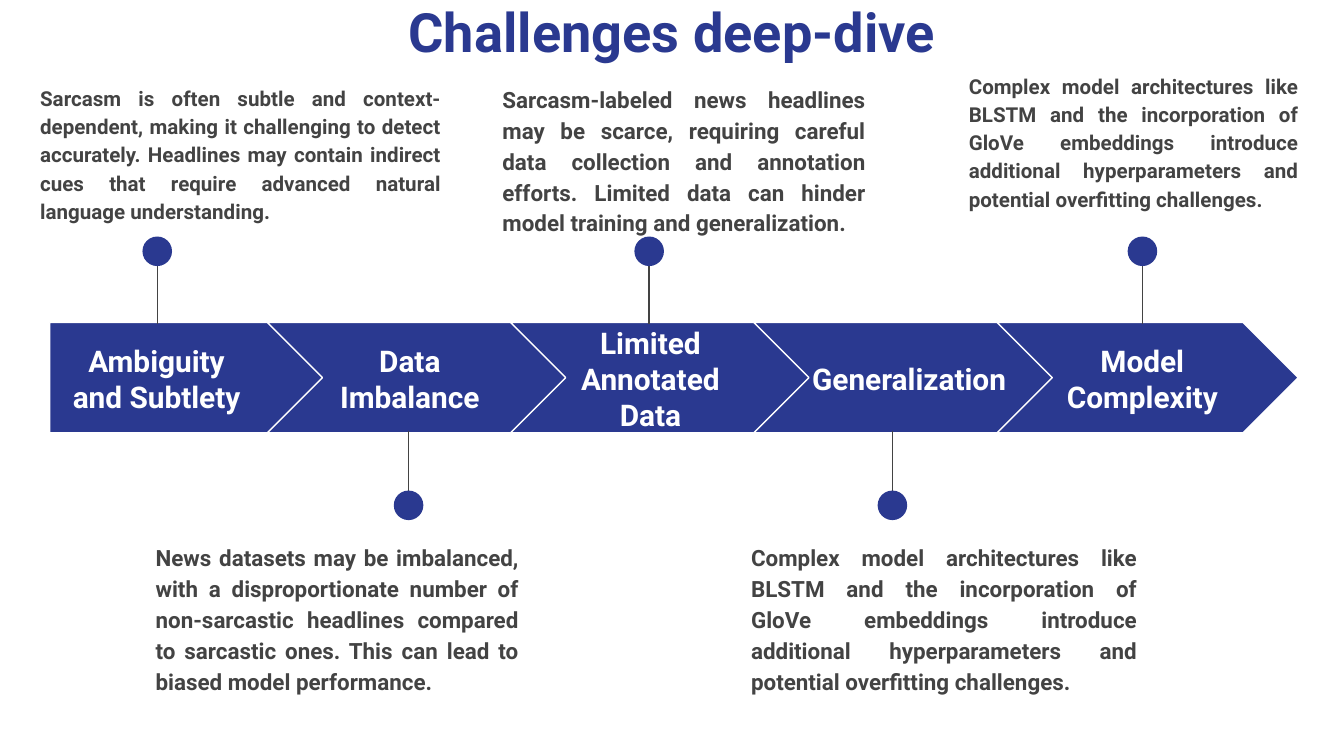
from lxml import etree
from pptx import Presentation
from pptx import util as u
from pptx.dml.color import RGBColor
from pptx.enum import shapes, text
from pptx.oxml.ns import qn

NAVY = RGBColor(0x2A, 0x39, 0x90)
GREY = RGBColor(0x43, 0x43, 0x43)
WHITE = RGBColor(0xFF, 0xFF, 0xFF)
FONT = "Roboto"

# Widescreen slide, 16 by 9
SLIDE_WIDTH = 10
SLIDE_HEIGHT = SLIDE_WIDTH * 9 / 16

# Arrow band and pins
BAND_TOP, BAND_HEIGHT = 2.4, 0.82
FIRST_LEFT, FIRST_WIDTH = 0.37, 2.05
CHEVRON_LEFT, CHEVRON_WIDTH, CHEVRON_STEP = 1.99, 2.24, 1.81
LABEL_TOP, LABEL_HEIGHT = 2.56, 0.51
DOT = 0.22
UPPER_DOT, LOWER_DOT = 1.76, 3.65
OVERLAP = 0.01

OVERFITTING = ("Complex model architectures like BLSTM and the incorporation of GloVe "
               "embeddings introduce additional hyperparameters and potential "
               "overfitting challenges.")

# Label, label left and width, pin centre, note box, note size, note text
STAGES = [
    ("Ambiguity and Subtlety", 0.37, 1.59, 1.17, (0.2, 0.51, 3.18, 1.29), 11,
     "Sarcasm is often subtle and context-dependent, making it challenging to detect "
     "accurately. Headlines may contain indirect cues that require advanced natural "
     "language understanding."),
    ("Data Imbalance", 2.33, 1.44, 3.04, (1.06, 3.92, 2.9, 1.62), 12,
     "News datasets may be imbalanced, with a disproportionate number of non-sarcastic "
     "headlines compared to sarcastic ones. This can lead to biased model performance."),
    ("Limited Annotated Data", 4.12, 1.44, 4.83, (3.64, 0.51, 2.9, 1.45), 12,
     "Sarcasm-labeled news headlines may be scarce, requiring careful data collection "
     "and annotation efforts. Limited data can hinder model training and generalization."),
    ("Generalization", 5.93, 1.67, 6.64, (5.49, 3.92, 3.07, 1.29), 12, OVERFITTING),
    ("Model Complexity", 7.78, 1.44, 8.5, (7.11, 0.42, 2.65, 1.45), 11, OVERFITTING),
]


def inches(*lengths):
    return [u.Inches(length) for length in lengths]


def write(shape, content, size, color, align, anchor=text.MSO_ANCHOR.TOP, spacing=1.0):
    """Fill a shape with one bold paragraph."""
    frame = shape.text_frame
    frame.word_wrap = True
    frame.auto_size = text.MSO_AUTO_SIZE.NONE
    frame.vertical_anchor = anchor
    frame.margin_left = frame.margin_right = u.Inches(0.1)
    frame.margin_top = frame.margin_bottom = u.Inches(0.1)
    paragraph = frame.paragraphs[0]
    paragraph.alignment = align
    paragraph.line_spacing = spacing
    run = paragraph.add_run()
    run.text = content
    run.font.name = FONT
    run.font.size = u.Pt(size)
    run.font.bold = True
    run.font.color.rgb = color


def add_text(slide, box, content, **style):
    write(slide.shapes.add_textbox(*inches(*box)), content, **style)


def add_solid(slide, kind, box, outline=None):
    shape = slide.shapes.add_shape(kind, *inches(*box))
    shape.shadow.inherit = False
    shape.fill.solid()
    shape.fill.fore_color.rgb = NAVY
    if outline is None:
        shape.line.fill.background()
    else:
        shape.line.color.rgb = outline
        shape.line.width = u.Pt(0.75)
    return shape


def add_arrow(slide, index):
    if index == 0:
        kind, left, width = shapes.MSO_SHAPE.PENTAGON, FIRST_LEFT, FIRST_WIDTH
    else:
        kind, width = shapes.MSO_SHAPE.CHEVRON, CHEVRON_WIDTH
        left = CHEVRON_LEFT + (index - 1) * CHEVRON_STEP
    arrow = add_solid(slide, kind, (left, BAND_TOP, width, BAND_HEIGHT), outline=WHITE)
    arrow.adjustments[0] = 0.5


def add_pin(slide, center, above):
    """Join a dot to the nearer edge of the arrow band."""
    if above:
        dot_top, start, end = UPPER_DOT, UPPER_DOT, BAND_TOP + OVERLAP
    else:
        dot_top, start = LOWER_DOT, LOWER_DOT + DOT
        end = BAND_TOP + BAND_HEIGHT - OVERLAP
    stem = slide.shapes.add_connector(
        shapes.MSO_CONNECTOR.STRAIGHT, *inches(center, start, center, end))
    stem.line.color.rgb = GREY
    stem.line.width = u.Pt(0.75)
    etree.SubElement(stem._element.spPr, qn("a:effectLst"))
    add_solid(slide, shapes.MSO_SHAPE.OVAL, (center - DOT / 2, dot_top, DOT, DOT))


def add_title(slide, content):
    title = slide.shapes.title
    title.left, title.top, title.width, title.height = inches(2.94, -0.11, 4.59, 0.69)
    write(title, content, size=29, color=NAVY, align=text.PP_ALIGN.LEFT)


def main():
    presentation = Presentation()
    presentation.slide_width, presentation.slide_height = inches(SLIDE_WIDTH, SLIDE_HEIGHT)
    slide = presentation.slides.add_slide(presentation.slide_layouts[5])
    add_title(slide, "Challenges deep-dive")

    # Stages alternate between notes above and below the band
    for index, (label, left, width, center, note_box, size, note) in enumerate(STAGES):
        add_arrow(slide, index)
        add_text(slide, (left, LABEL_TOP, width, LABEL_HEIGHT), label, size=16,
                 color=WHITE, align=text.PP_ALIGN.CENTER, anchor=text.MSO_ANCHOR.MIDDLE)
        add_pin(slide, center, above=index % 2 == 0)
        add_text(slide, note_box, note, size=size, color=GREY,
                 align=text.PP_ALIGN.JUSTIFY, spacing=1.15)

    presentation.save("out.pptx")


if __name__ == "__main__":
    main()
